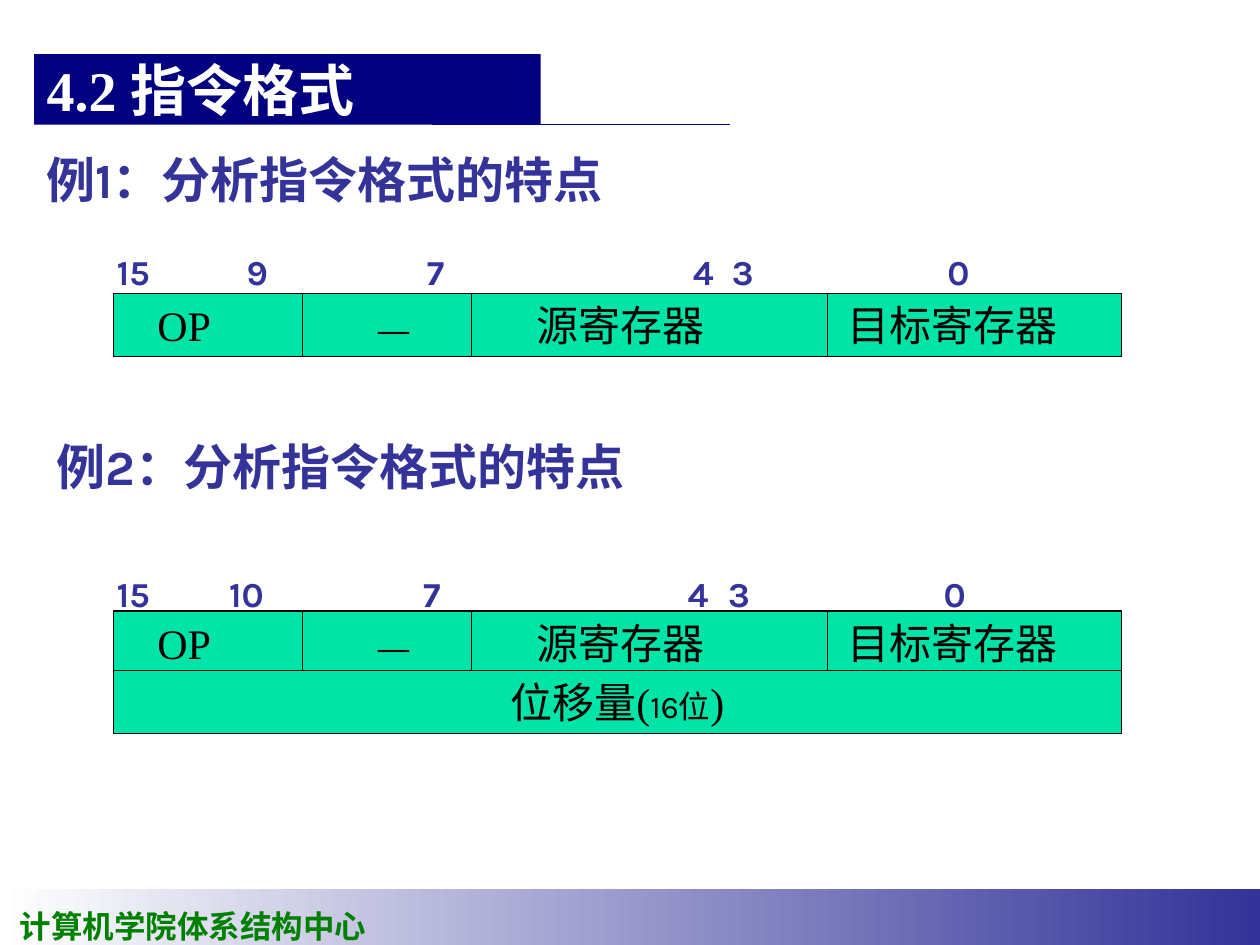
from dataclasses import dataclass

from lxml import etree
from pptx import Presentation
from pptx import util as u
from pptx.dml.color import RGBColor
from pptx.enum import shapes, text
from pptx.oxml.ns import qn

Inches = u.Inches


@dataclass(frozen=True)
class Theme:
    """Colours, fonts and type sizes of the slide."""
    white: str = "FFFFFF"
    black: str = "000000"
    navy: str = "000080"
    indigo: str = "333399"
    mint: str = "00E4A8"
    green: str = "008000"
    serif: str = "Times New Roman"
    sans: str = "Karla"
    dash: str = "Arial"
    title: int = 32
    heading: int = 28
    field: int = 24
    bit: int = 20
    small: int = 18
    line: float = 0.75


THEME = Theme()
DIVIDERS = (1.5, 2.84, 5.67)
FIELD_TABS = (0.25, 2, 3.26, 5.73)
FIELD_RUNS = (
    ("\tOP\t", THEME.field, THEME.serif),
    ("—\t", THEME.small, THEME.dash),
    ("源", THEME.field, THEME.sans),
    ("寄存器\t目标寄存器", THEME.field, THEME.serif),
)
OFFSET_RUNS = (
    ("位移量(", THEME.field, THEME.serif),
    ("16位", THEME.small, THEME.sans),
    (")", THEME.field, THEME.serif),
)


def write(shape, runs, color, bold=False, anchor=text.MSO_ANCHOR.TOP,
          align=text.PP_ALIGN.LEFT, tabs=(), wrap=True):
    """Fill a shape with one paragraph of (text, size, font) runs."""
    frame = shape.text_frame
    frame.word_wrap = wrap
    frame.auto_size = text.MSO_AUTO_SIZE.NONE
    frame.vertical_anchor = anchor
    paragraph = frame.paragraphs[0]
    paragraph.alignment = align
    if tabs:
        stops = etree.SubElement(paragraph._p.get_or_add_pPr(), qn("a:tabLst"))
        for stop in tabs:
            etree.SubElement(stops, qn("a:tab"), pos=str(Inches(stop)), algn="l")
    for words, size, font in runs:
        run = paragraph.add_run()
        run.text = words
        run.font.size = u.Pt(size)
        run.font.name = font
        run.font.bold = bold
        run.font.color.rgb = RGBColor.from_string(color)


def add_rule(parent, x1, y1, x2, y2, color):
    """Draw a thin straight line."""
    rule = parent.add_connector(shapes.MSO_CONNECTOR.STRAIGHT,
                                Inches(x1), Inches(y1), Inches(x2), Inches(y2))
    rule.line.color.rgb = RGBColor.from_string(color)
    rule.line.width = u.Pt(THEME.line)
    etree.SubElement(rule._element.spPr, qn("a:effectLst"))


def add_label(slide, box, runs, color, **options):
    """Place a bold text box."""
    label = slide.shapes.add_textbox(*map(Inches, box))
    write(label, runs, color, bold=True, **options)


def add_word(parent, box):
    """Place one outlined instruction word."""
    word = parent.add_shape(shapes.MSO_SHAPE.RECTANGLE, *map(Inches, box))
    word.shadow.inherit = False
    word.fill.solid()
    word.fill.fore_color.rgb = RGBColor.from_string(THEME.mint)
    word.line.color.rgb = RGBColor.from_string(THEME.black)
    word.line.width = u.Pt(THEME.line)
    return word


def add_footer(slide, box):
    """Draw the gradient band with the department name."""
    left, top, _, _ = box
    band = slide.shapes.add_shape(shapes.MSO_SHAPE.RECTANGLE, *map(Inches, box))
    band.shadow.inherit = False
    band.line.fill.background()
    band.fill.gradient()
    band.fill.gradient_angle = 0
    for stop, position, color in zip(band.fill.gradient_stops, (0, 1),
                                     (THEME.white, THEME.indigo)):
        stop.position = position
        stop.color.rgb = RGBColor.from_string(color)
    add_label(slide, (left + 0.06, top + 0.09, 2.95, 0.4),
              [("计算机学院体系结构中心", THEME.small, THEME.serif)],
              THEME.green, wrap=False)


def add_title(slide, box):
    """Format the title as a navy bar with a trailing rule."""
    left, top, _, height = box
    title = slide.shapes.title
    title.left, title.top, title.width, title.height = map(Inches, box)
    title.fill.solid()
    title.fill.fore_color.rgb = RGBColor.from_string(THEME.navy)
    write(title, [("4.2 指令格式", THEME.title, THEME.serif)], THEME.white,
          bold=True, anchor=text.MSO_ANCHOR.MIDDLE)
    bottom = top + height
    add_rule(slide.shapes, left + 3.16, bottom, left + 5.52, bottom, THEME.navy)


def add_heading(slide, box, words):
    """Place an example heading."""
    add_label(slide, box, [(words, THEME.heading, THEME.sans)], THEME.indigo,
              anchor=text.MSO_ANCHOR.BOTTOM)


def add_bits(slide, box, bits, tabs):
    """Place the bit numbers above an instruction word."""
    add_label(slide, box, [("\t".join(bits), THEME.bit, THEME.sans)],
              THEME.indigo, anchor=text.MSO_ANCHOR.BOTTOM, tabs=tabs)


def add_fields(slide, box):
    """Group an instruction word with its field dividers."""
    left, top, _, height = box
    group = slide.shapes.add_group_shape()
    write(add_word(group.shapes, box), FIELD_RUNS, THEME.black, tabs=FIELD_TABS)
    for offset in DIVIDERS:
        x = left + offset
        add_rule(group.shapes, x, top, x, top + height, THEME.black)


def add_offset(slide, box):
    """Place the displacement word."""
    write(add_word(slide.shapes, box), OFFSET_RUNS, THEME.black,
          align=text.PP_ALIGN.CENTER)


def main():
    """Build and save the slide."""
    deck = Presentation()
    deck.slide_width, deck.slide_height = Inches(10), Inches(7.5)
    slide = deck.slides.add_slide(deck.slide_layouts[5])
    add_footer(slide, (0, 7.06, 10, 0.47))
    add_title(slide, (0.27, 0.43, 4.02, 0.56))

    add_heading(slide, (0.27, 1.19, 5.91, 0.51), "例1：分析指令格式的特点")
    add_fields(slide, (0.9, 2.33, 8, 0.5))
    add_bits(slide, (0.83, 1.86, 8.11, 0.51), ("15", "9", "7", "4", "3", "0"),
             (1.03, 2.46, 4.57, 4.88, 6.59))

    add_heading(slide, (0.35, 3.47, 5.91, 0.51), "例2：分析指令格式的特点")
    add_fields(slide, (0.9, 4.85, 8, 0.5))
    add_bits(slide, (0.83, 4.42, 8.11, 0.51), ("15", "10", "7", "4", "3", "0"),
             (0.89, 2.43, 4.53, 4.85, 6.56))
    add_offset(slide, (0.9, 5.32, 8, 0.5))
    deck.save("out.pptx")


if __name__ == "__main__":
    main()
